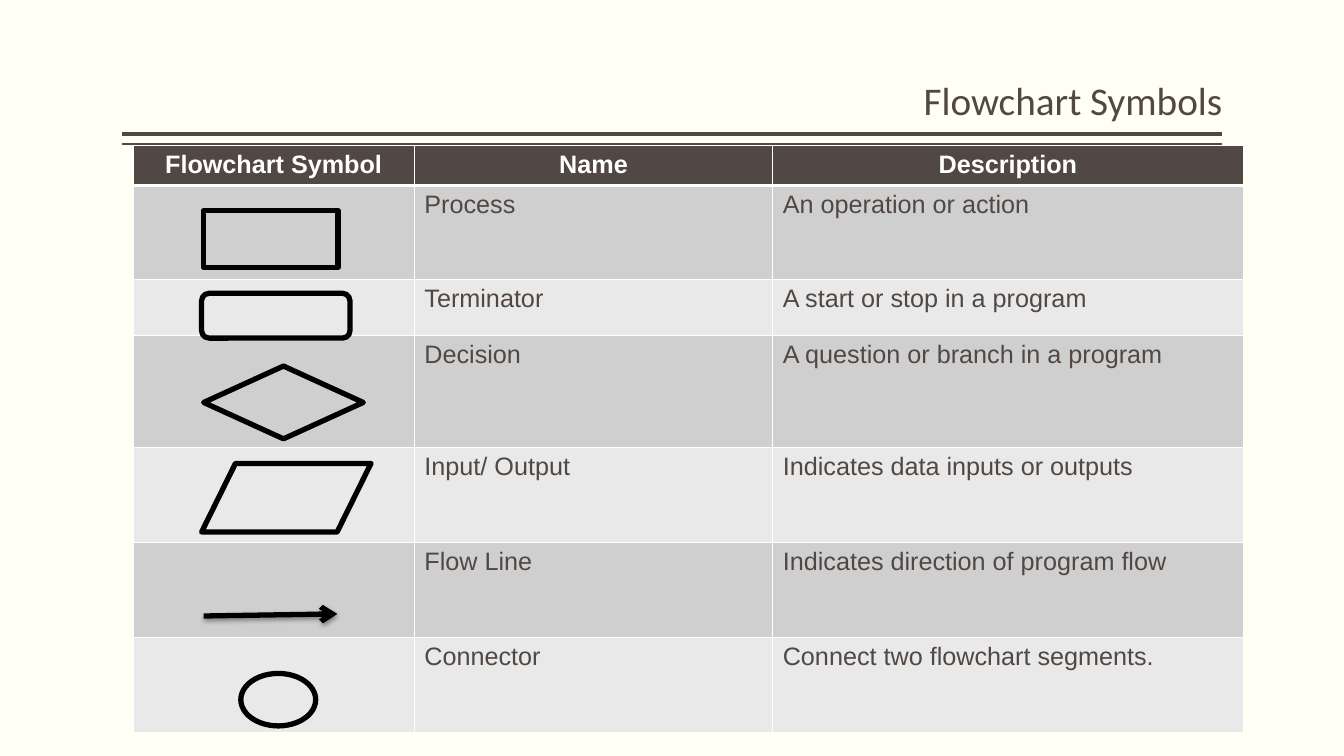
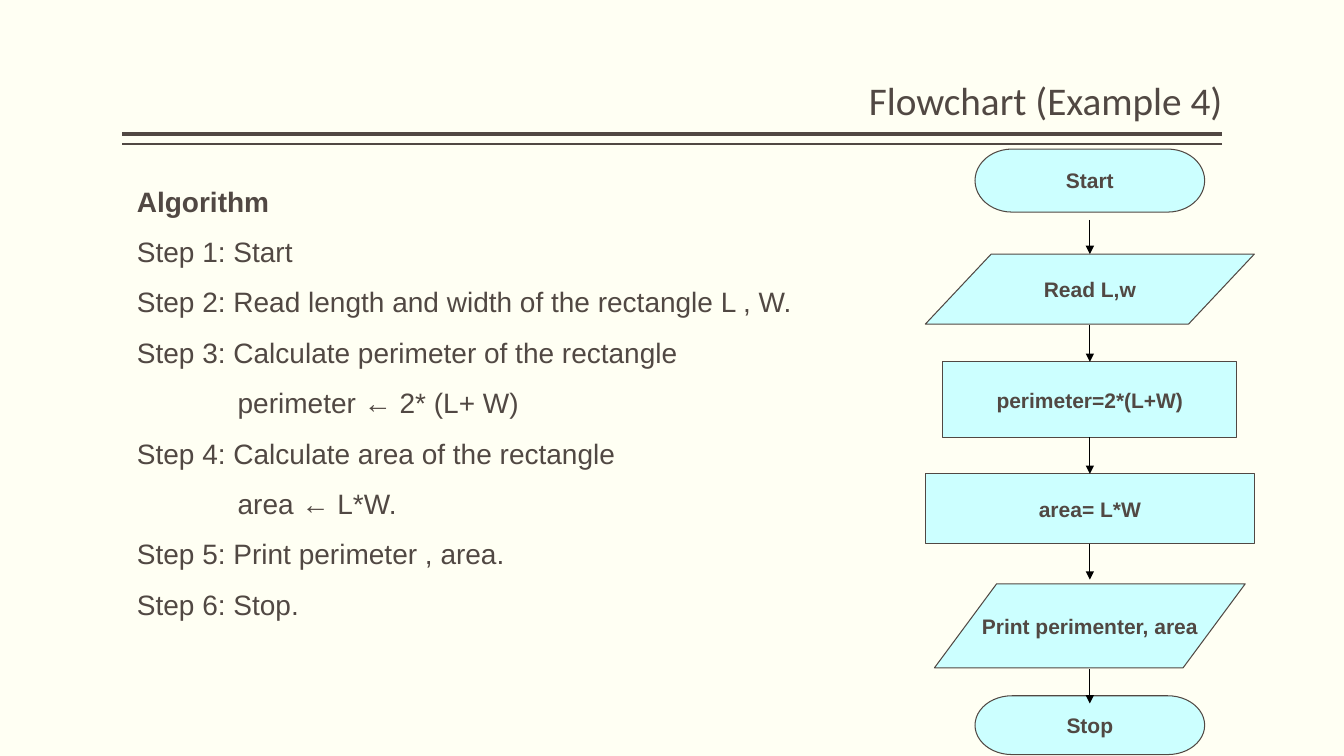
"""Build two slides on flowchart symbols and a worked flowchart."""
import lxml.etree
import pptx
import pptx.dml.color
import pptx.enum.shapes
import pptx.enum.text
import pptx.oxml
import pptx.oxml.ns
import pptx.util

Pt = pptx.util.Pt
SHAPE = pptx.enum.shapes.MSO_SHAPE
ALIGN = pptx.enum.text.PP_ALIGN
ANCHOR = pptx.enum.text.MSO_ANCHOR
qn = pptx.oxml.ns.qn

COLORS = {
    "paper": "FFFFF3",
    "ink": "514843",
    "white": "FFFFFF",
    "black": "000000",
    "band_dark": "D0CFCF",
    "band_light": "E9E9E9",
    "node": "CCFFFF",
}


def rgb(name):
    return pptx.dml.color.RGBColor.from_string(COLORS[name])


class Deck:
    LEFT, RIGHT = 87, 873

    def __init__(self):
        self.prs = pptx.Presentation()
        self.prs.slide_width, self.prs.slide_height = Pt(960), Pt(540)
        self.s = None

    def slide(self, title):
        self.s = self.prs.slides.add_slide(self.prs.slide_layouts[6])
        fill = self.s.background.fill
        fill.solid()
        fill.fore_color.rgb = rgb("paper")
        for y, weight in ((95.8, 3), (103, 1)):
            self.line(self.RIGHT, y, self.LEFT, y, "ink", weight)
        tf = self.box(self.LEFT, 5.8, self.RIGHT - self.LEFT, 86.4)
        tf.margin_left = tf.margin_right = 0
        tf.vertical_anchor = ANCHOR.BOTTOM
        p = tf.paragraphs[0]
        p.line_spacing = 0.9
        self.text(p, title, 28, font="Calibri", align=ALIGN.RIGHT)

    def box(self, x, y, w, h):
        tf = self.s.shapes.add_textbox(Pt(x), Pt(y), Pt(w), Pt(h)).text_frame
        tf.word_wrap = True
        return tf

    def text(self, p, words, size, color="ink", bold=False, font="Arial", align=ALIGN.LEFT):
        p.alignment = align
        r = p.add_run()
        r.text = words
        r.font.name, r.font.size, r.font.bold = font, Pt(size), bold
        r.font.color.rgb = rgb(color)

    def line(self, x1, y1, x2, y2, color, weight, head=None, shadow=False):
        sp = self.s.shapes.add_connector(
            pptx.enum.shapes.MSO_CONNECTOR.STRAIGHT, Pt(x1), Pt(y1), Pt(x2), Pt(y2))
        sp.line.color.rgb = rgb(color)
        sp.line.width = Pt(weight)
        props = sp._element.spPr
        if head:
            lxml.etree.SubElement(props.find(qn("a:ln")), qn("a:tailEnd"), type=head)
        effects = lxml.etree.SubElement(props, qn("a:effectLst"))
        if shadow:
            outer = lxml.etree.SubElement(
                effects, qn("a:outerShdw"), blurRad=str(Pt(3.5)), dist=str(Pt(2)),
                dir="5400000", rotWithShape="0")
            tone = lxml.etree.SubElement(outer, qn("a:srgbClr"), val=COLORS["black"])
            lxml.etree.SubElement(tone, qn("a:alpha"), val="38000")
        return sp

    def shape(self, kind, x, y, w, h, color, weight, fill=None):
        sp = self.s.shapes.add_shape(kind, Pt(x), Pt(y), Pt(w), Pt(h))
        sp.shadow.inherit = False
        if fill:
            sp.fill.solid()
            sp.fill.fore_color.rgb = rgb(fill)
        else:
            sp.fill.background()
        sp.line.color.rgb = rgb(color)
        sp.line.width = Pt(weight)
        return sp

    def symbol(self, kind, x, y, w, h):
        return self.shape(kind, x, y, w, h, "black", 3.78)

    def node(self, kind, words, center, y, w, h):
        sp = self.shape(kind, center - w / 2, y, w, h, "ink", 0.75, "node")
        tf = sp.text_frame
        tf.word_wrap = False
        tf.vertical_anchor = ANCHOR.MIDDLE
        self.text(tf.paragraphs[0], words, 15, bold=True, align=ALIGN.CENTER)
        return sp

    def cell(self, cell, words, fill, top, bottom, header):
        props = cell._tc.get_or_add_tcPr()
        for side, weight in (("L", 1), ("R", 1), ("T", top), ("B", bottom)):
            ln = lxml.etree.SubElement(props, qn("a:ln" + side), w=str(Pt(weight)))
            solid = lxml.etree.SubElement(ln, qn("a:solidFill"))
            lxml.etree.SubElement(solid, qn("a:srgbClr"), val=COLORS["white"])
        cell.fill.solid()
        cell.fill.fore_color.rgb = rgb(fill)
        if words:
            self.text(cell.text_frame.paragraphs[0], words, 18,
                      "white" if header else "ink", header,
                      align=ALIGN.CENTER if header else ALIGN.LEFT)

    def table(self, x, y, widths, heights, rows):
        frame = self.s.shapes.add_table(
            len(rows), len(widths), Pt(x), Pt(y), Pt(sum(widths)), Pt(sum(heights)))
        tbl = frame.table
        tbl.horz_banding = False
        for col, w in zip(tbl.columns, widths):
            col.width = Pt(w)
        for i, (row, h) in enumerate(zip(rows, heights)):
            tbl.rows[i].height = Pt(h)
            fill = "ink" if i == 0 else ("band_light", "band_dark")[i % 2]
            for j, words in enumerate(row):
                self.cell(tbl.cell(i, j), words, fill,
                          3 if i == 1 else 1, 3 if i == 0 else 1, i == 0)

    def steps(self, x, y, w, h, lines):
        tf = self.box(x, y, w, h)
        tf.auto_size = pptx.enum.text.MSO_AUTO_SIZE.SHAPE_TO_FIT_TEXT
        for i, (words, indent) in enumerate(lines):
            p = tf.add_paragraph() if i else tf.paragraphs[0]
            p.line_spacing = 1.5
            if indent:
                p._p.get_or_add_pPr().set("marL", str(Pt(indent)))
            self.text(p, words, 20, bold=i == 0)

    def flow(self, center, nodes, starts):
        box = SHAPE.FLOWCHART_PROCESS
        shapes = [self.node(kind, words, center, *place) for kind, words, *place in nodes]
        for i, y in enumerate(starts):
            sp = self.line(center, y, center, y + 24.5, "black", 0.75, "triangle")
            if nodes[i][0] == box:
                sp.begin_connect(shapes[i], 2)
            if nodes[i + 1][0] == box:
                sp.end_connect(shapes[i + 1], 0)


def main():
    deck = Deck()

    deck.slide("Flowchart Symbols")
    deck.table(95, 103.7, (201, 256, 336), (28, 67, 40, 80, 68, 68, 68), [
        ("Flowchart Symbol", "Name", "Description"),
        ("", "Process", "An operation or action"),
        ("", "Terminator", "A start or stop in a program"),
        ("", "Decision", "A question or branch in a program"),
        ("", "Input/ Output", "Indicates data inputs or outputs"),
        ("", "Flow Line", "Indicates direction of program flow"),
        ("", "Connector", "Connect two flowchart segments."),
    ])
    for kind, *place in (
        (SHAPE.FLOWCHART_PROCESS, 145.5, 150.5, 96, 40.5),
        (SHAPE.FLOWCHART_ALTERNATE_PROCESS, 144, 209.5, 106, 32),
        (SHAPE.FLOWCHART_DECISION, 145.5, 261.5, 114, 52),
        (SHAPE.FLOWCHART_DATA, 144, 331, 121, 49),
        (SHAPE.FLOWCHART_CONNECTOR, 172, 481, 53.5, 37.5),
    ):
        deck.symbol(kind, *place)
    deck.line(145.5, 440, 241, 438.5, "black", 3.78, "arrow", shadow=True)

    deck.slide("Flowchart (Example 4)")
    deck.flow(778.5, [
        (SHAPE.FLOWCHART_TERMINATOR, "Start", 106.5, 164, 45),
        (SHAPE.FLOWCHART_DATA, "Read L,w", 181.5, 235, 50),
        (SHAPE.FLOWCHART_PROCESS, "perimeter=2*(L+W)", 258.5, 210, 54),
        (SHAPE.FLOWCHART_PROCESS, "area= L*W", 338.5, 235, 50),
        (SHAPE.FLOWCHART_DATA, "Print perimenter, area", 417, 222, 60),
        (SHAPE.FLOWCHART_TERMINATOR, "Stop", 497, 164, 42),
    ], (157, 232, 310, 389.5, 478))
    deck.steps(90.7, 116, 512, 334, [
        ("Algorithm", 0),
        ("Step 1: Start", 0),
        ("Step 2: Read length and width of the rectangle L , W.", 0),
        ("Step 3: Calculate perimeter of the rectangle", 0),
        ("perimeter ← 2* (L+ W)", 72),
        ("Step 4: Calculate area of the rectangle", 0),
        ("area ← L*W.", 72),
        ("Step 5: Print perimeter , area.", 0),
        ("Step 6: Stop.", 0),
    ])

    deck.prs.save("out.pptx")


if __name__ == "__main__":
    main()
